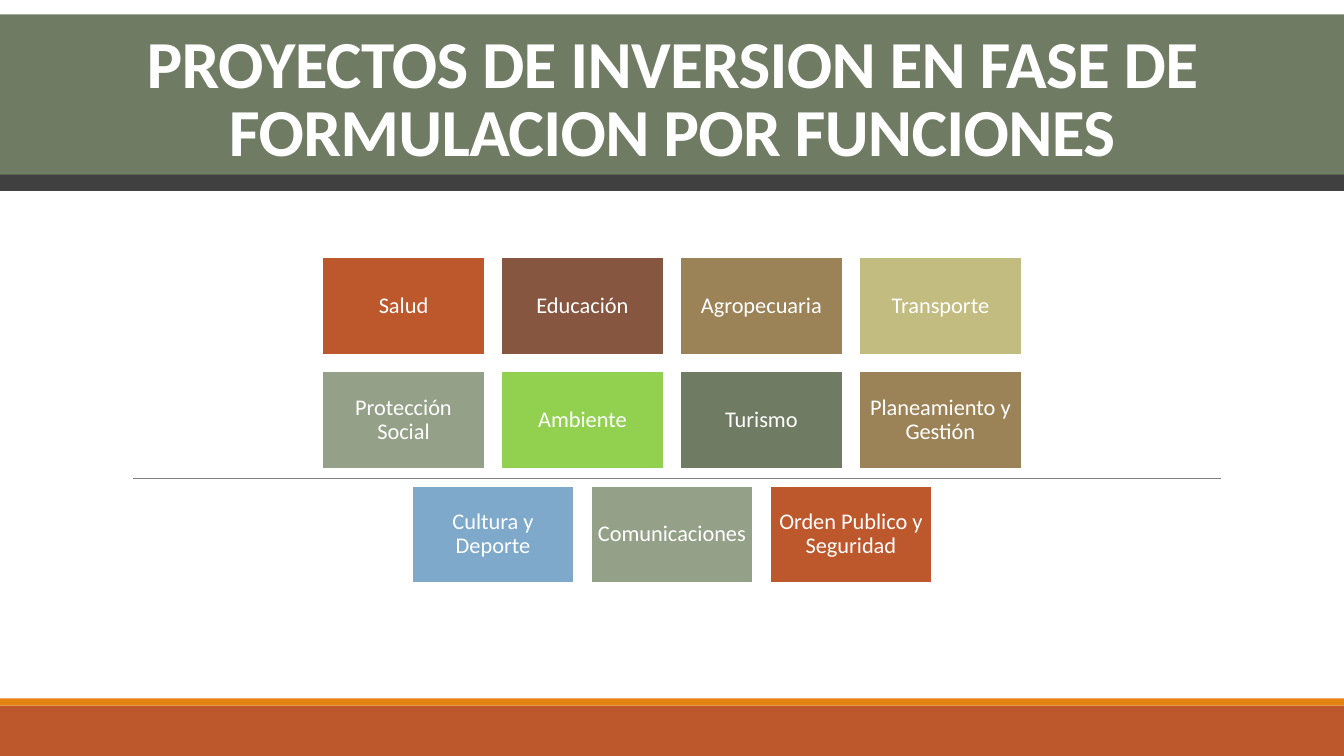
import pptx
import pptx.util
import pptx.dml.color
import pptx.enum.shapes
import pptx.enum.text
import pptx.oxml
import pptx.oxml.ns

Cm = pptx.util.Cm
Pt = pptx.util.Pt
RGB = pptx.dml.color.RGBColor
ALIGN = pptx.enum.text.PP_ALIGN
ANCHOR = pptx.enum.text.MSO_ANCHOR

WHITE = RGB(0xFF, 0xFF, 0xFF)
RUST = RGB(0xBD, 0x58, 0x2C)
ORANGE = RGB(0xE4, 0x83, 0x12)
BROWN = RGB(0x86, 0x56, 0x40)
TAN = RGB(0x9B, 0x83, 0x57)
SAND = RGB(0xC2, 0xBC, 0x80)
SAGE = RGB(0x94, 0xA0, 0x88)
LIME = RGB(0x92, 0xD0, 0x50)
MOSS = RGB(0x6F, 0x7B, 0x63)
BLUE = RGB(0x7E, 0xA9, 0xCA)
DARK = RGB(0x40, 0x40, 0x40)
GRAY = RGB(0x80, 0x80, 0x80)

FONT = "Calibri"
TITLE = "PROYECTOS DE INVERSION EN FASE DE FORMULACION POR FUNCIONES"
ROWS = [
    [("Salud", RUST), ("Educación", BROWN), ("Agropecuaria", TAN), ("Transporte", SAND)],
    [("Protección Social", SAGE), ("Ambiente", LIME), ("Turismo", MOSS),
     ("Planeamiento y Gestión", TAN)],
    [("Cultura y Deporte", BLUE), ("Comunicaciones", SAGE),
     ("Orden Publico y Seguridad", RUST)],
]
BARS = [(17.78, 1.27, RUST), (17.6, 0.18, ORANGE), (4.4, 0.41, DARK)]
WIDE, HIGH = 33.87, 19.05
BOX_W, BOX_H, GAP, TOP = 4.09, 2.46, 0.42, 6.48


def add_box(slide, left, top, width, height, fill):
    box = slide.shapes.add_shape(
        pptx.enum.shapes.MSO_SHAPE.RECTANGLE, Cm(left), Cm(top), Cm(width), Cm(height))
    box.shadow.inherit = False
    box.fill.solid()
    box.fill.fore_color.rgb = fill
    box.line.fill.background()
    return box


def set_text(shape, text, size, space, bold=False):
    frame = shape.text_frame
    frame.text = text
    frame.word_wrap = True
    frame.auto_size = pptx.enum.text.MSO_AUTO_SIZE.NONE
    par = frame.paragraphs[0]
    par.alignment = ALIGN.CENTER
    par.line_spacing = space
    par.font.name = FONT
    par.font.size = Pt(size)
    par.font.bold = bold
    par.font.color.rgb = WHITE
    return frame


def add_title(slide):
    title = slide.shapes.title
    title.left, title.top = Cm(0), Cm(0.36)
    title.width, title.height = Cm(WIDE), Cm(4.06)
    title.fill.solid()
    title.fill.fore_color.rgb = MOSS
    frame = set_text(title, TITLE, 48, 0.85, True)
    frame.vertical_anchor = ANCHOR.BOTTOM
    frame.paragraphs[0].runs[0]._r.get_or_add_rPr().set("spc", "-50")


def add_rule(slide):
    rule = slide.shapes.add_connector(
        pptx.enum.shapes.MSO_CONNECTOR.STRAIGHT, Cm(3.35), Cm(12.06), Cm(30.78), Cm(12.06))
    rule.line.color.rgb = GRAY
    rule.line.width = Pt(0.5)
    rule._element.spPr.append(
        pptx.oxml.parse_xml("<a:effectLst %s/>" % pptx.oxml.ns.nsdecls("a")))


def add_grid(slide):
    for row, cells in enumerate(ROWS):
        span = len(cells) * (BOX_W + GAP) - GAP
        start = (WIDE - span) / 2
        top = TOP + row * (BOX_H + GAP)
        for col, (name, fill) in enumerate(cells):
            box = add_box(slide, start + col * (BOX_W + GAP), top, BOX_W, BOX_H, fill)
            box.line.color.rgb = WHITE
            box.line.width = Pt(1.25)
            frame = set_text(box, name, 16, 0.9)
            frame.vertical_anchor = ANCHOR.MIDDLE
            frame.margin_left = frame.margin_right = Cm(0.17)
            frame.margin_top = frame.margin_bottom = Cm(0.17)


def main():
    deck = pptx.Presentation()
    deck.slide_width, deck.slide_height = Cm(WIDE), Cm(HIGH)
    slide = deck.slides.add_slide(deck.slide_layouts[5])
    add_title(slide)
    for top, height, fill in BARS:
        add_box(slide, 0, top, WIDE, height, fill)
    add_rule(slide)
    add_grid(slide)
    deck.save("out.pptx")


if __name__ == "__main__":
    main()
